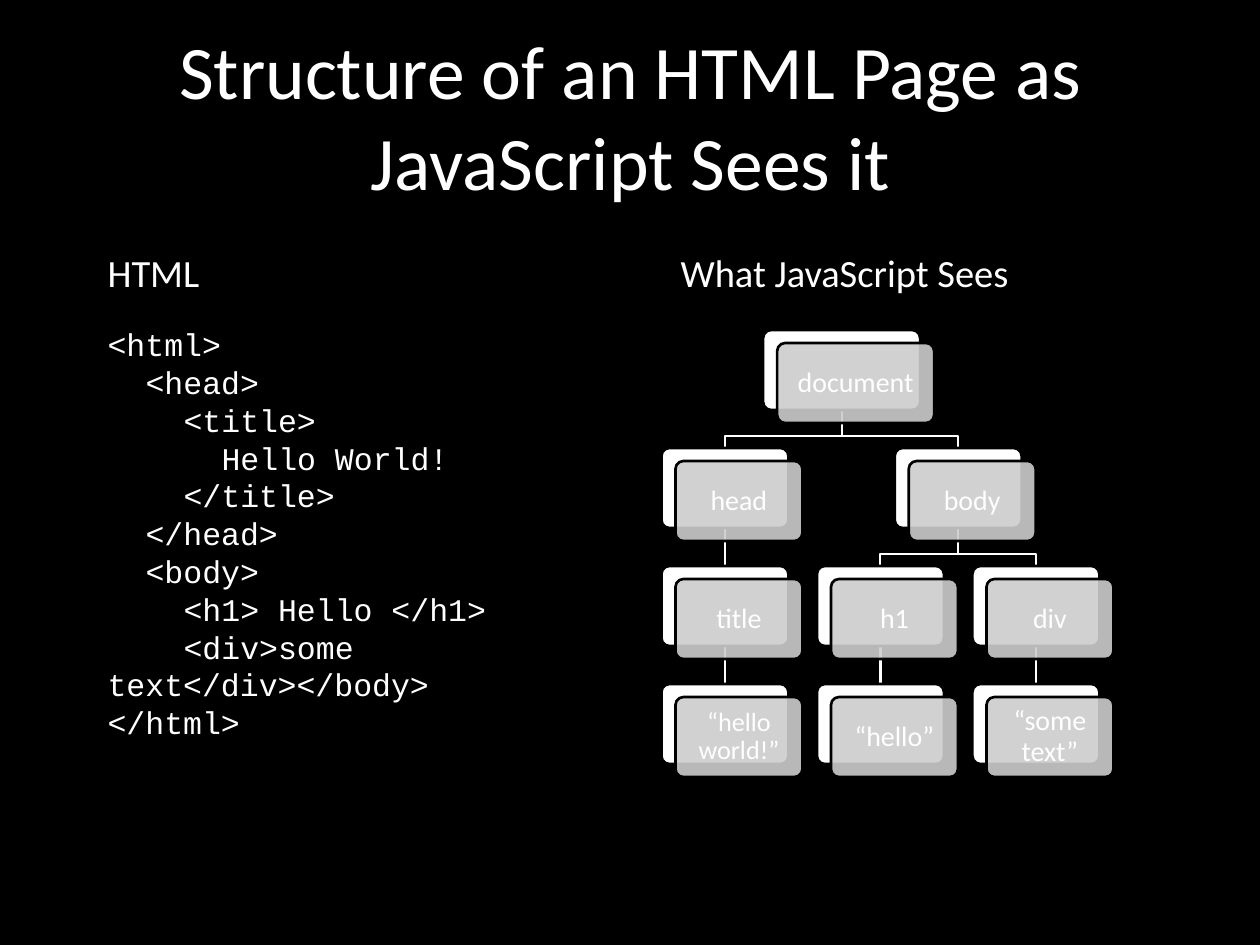
from lxml import etree
from pptx import Presentation
from pptx import util as u
from pptx.dml.color import RGBColor
from pptx.enum import shapes, text
from pptx.oxml.ns import qn

EMU_PER_PX = 914400 / 126
WHITE, BLACK, GRAY = "FFFFFF", "000000", "CCCCCC"
SANS, MONO = "Calibri", "Courier New"

# Code lines as (indent level, text)
HTML_LINES = [
    (0, "<html>"), (1, "<head>"), (2, "<title>"), (3, "Hello World!"),
    (2, "</title>"), (1, "</head>"), (1, "<body>"),
    (2, "<h1> Hello </h1>"), (2, "<div>some text</div></body>"), (0, "</html>"),
]
# Nodes: key -> (label, parent, column, level)
NODES = {
    "document": ("document", None, 0.75, 0),
    "head": ("head", "document", 0, 1),
    "body": ("body", "document", 1.5, 1),
    "title": ("title", "head", 0, 2),
    "h1": ("h1", "body", 1, 2),
    "div": ("div", "body", 2, 2),
    "title text": ("“hello world!”", "title", 0, 3),
    "h1 text": ("“hello”", "h1", 1, 3),
    "div text": ("“some text”", "div", 2, 3),
}
TREE_LEFT, TREE_TOP = 725, 330          # centre of first column, top of root
COLUMN_STEP, LEVEL_STEP = 155.5, 118
CARD_WIDTH, ROOT_WIDTH, CARD_HEIGHT = 127, 157, 80
BEND_DROP = 26                          # from a card's bottom to the bend
CODE_INDENT = 38


def px(length):
    return u.Emu(round(length * EMU_PER_PX))


def rgb(value):
    return RGBColor.from_string(value)


def apply(target, values):
    for name, value in values.items():
        setattr(target, name, value)


class SlideBuilder:
    def __init__(self, slide):
        self.slide = slide
        self.shapes = slide.shapes
        slide.background.fill.solid()
        slide.background.fill.fore_color.rgb = rgb(BLACK)

    def add_words(self, paragraph, words, size, font=SANS, **layout):
        run = paragraph.add_run()
        run.text = words
        apply(run.font, {"name": font, "size": u.Pt(size)})
        run.font.color.rgb = rgb(WHITE)
        apply(paragraph, layout)

    def placeholder(self, index, left, top, width, height, anchor):
        holder = self.slide.placeholders[index]
        apply(holder, {"left": px(left), "top": px(top),
                       "width": px(width), "height": px(height)})
        apply(holder.text_frame, {"word_wrap": True, "vertical_anchor": anchor,
                                  "auto_size": text.MSO_AUTO_SIZE.NONE})
        return holder.text_frame

    def plain_item(self, paragraph, indent=0):
        """Remove the bullet and indent only the first line."""
        properties = paragraph._p.get_or_add_pPr()
        properties.set("marL", "0")
        properties.set("indent", str(px(indent)))
        etree.SubElement(properties, qn("a:buNone"))

    def outline(self, line, color):
        line.color.rgb = rgb(color)
        line.width = u.Pt(1.5)

    def card(self, left, top, width, fill, opacity=100):
        card = self.shapes.add_shape(
            shapes.MSO_SHAPE.ROUNDED_RECTANGLE,
            px(left), px(top), px(width), px(CARD_HEIGHT))
        card.adjustments[0] = 0.1
        card.shadow.inherit = False
        card.fill.solid()
        card.fill.fore_color.rgb = rgb(fill)
        if opacity < 100:
            color = card._element.spPr.find(".//" + qn("a:srgbClr"))
            etree.SubElement(color, qn("a:alpha"), val=str(opacity * 1000))
        self.outline(card.line, BLACK)
        return card

    def node(self, label, center, top, width, size):
        """Draw a white back card and a labelled front card; return the back."""
        left = center - width / 2
        back = self.card(left, top, width, WHITE)
        front = self.card(left + 14, top + 13, width, GRAY, 90)
        margins = dict.fromkeys(
            ("margin_left", "margin_right", "margin_top", "margin_bottom"), px(10))
        apply(front.text_frame, {"word_wrap": True, **margins,
                                 "vertical_anchor": text.MSO_ANCHOR.MIDDLE})
        self.add_words(front.text_frame.paragraphs[0], label, size,
                       alignment=text.PP_ALIGN.CENTER, line_spacing=0.9)
        return back

    def send_to_back(self, shape):
        self.shapes._spTree.insert(2, shape._element)

    def straight_link(self, parent, child):
        link = self.shapes.add_connector(shapes.MSO_CONNECTOR.STRAIGHT, 0, 0, 0, 0)
        link.begin_connect(parent, 2)
        link.end_connect(child, 0)
        self.outline(link.line, WHITE)
        etree.SubElement(link._element.spPr, qn("a:effectLst"))
        self.send_to_back(link)

    def bent_link(self, start, end):
        bend = start[1] + BEND_DROP
        builder = self.shapes.build_freeform(*start, scale=EMU_PER_PX)
        builder.add_line_segments([(start[0], bend), (end[0], bend), end], close=False)
        link = builder.convert_to_shape()
        link.shadow.inherit = False
        link.fill.background()
        self.outline(link.line, WHITE)
        self.send_to_back(link)


def main():
    deck = Presentation()
    apply(deck, {"slide_width": px(1260), "slide_height": px(945)})
    page = SlideBuilder(deck.slides.add_slide(deck.slide_layouts[3]))

    # Title
    heading = page.placeholder(0, 95, 16, 1071, 197, text.MSO_ANCHOR.MIDDLE)
    page.add_words(heading.paragraphs[0],
                   "Structure of an HTML Page as JavaScript Sees it",
                   43.2, alignment=text.PP_ALIGN.CENTER)

    # Column headings
    columns = []
    for index, left, words in ((1, 95, "HTML"), (2, 668, "What JavaScript Sees")):
        column = page.placeholder(index, left, 243, 498, 601, text.MSO_ANCHOR.TOP)
        page.plain_item(column.paragraphs[0])
        page.add_words(column.paragraphs[0], words, 22)
        columns.append(column)

    # HTML source
    for number, (level, code) in enumerate(HTML_LINES):
        line = columns[0].add_paragraph()
        page.plain_item(line, level * CODE_INDENT)
        page.add_words(line, code, 18, MONO, line_spacing=u.Pt(21.6),
                       space_before=u.Pt(0 if number else 17))

    # Tree cards
    backs, centers, tops = {}, {}, {}
    for key, (label, parent, column, level) in NODES.items():
        centers[key] = TREE_LEFT + column * COLUMN_STEP
        tops[key] = TREE_TOP + level * LEVEL_STEP
        backs[key] = page.node(label, centers[key], tops[key],
                               CARD_WIDTH if parent else ROOT_WIDTH,
                               15 if key == "title text" else 16)

    # Tree links, behind the cards
    for key, (_, parent, _, _) in NODES.items():
        if parent is None:
            continue
        if centers[parent] == centers[key]:
            page.straight_link(backs[parent], backs[key])
        else:
            page.bent_link((centers[parent], tops[parent] + CARD_HEIGHT),
                           (centers[key], tops[key]))

    deck.save("out.pptx")


if __name__ == "__main__":
    main()
